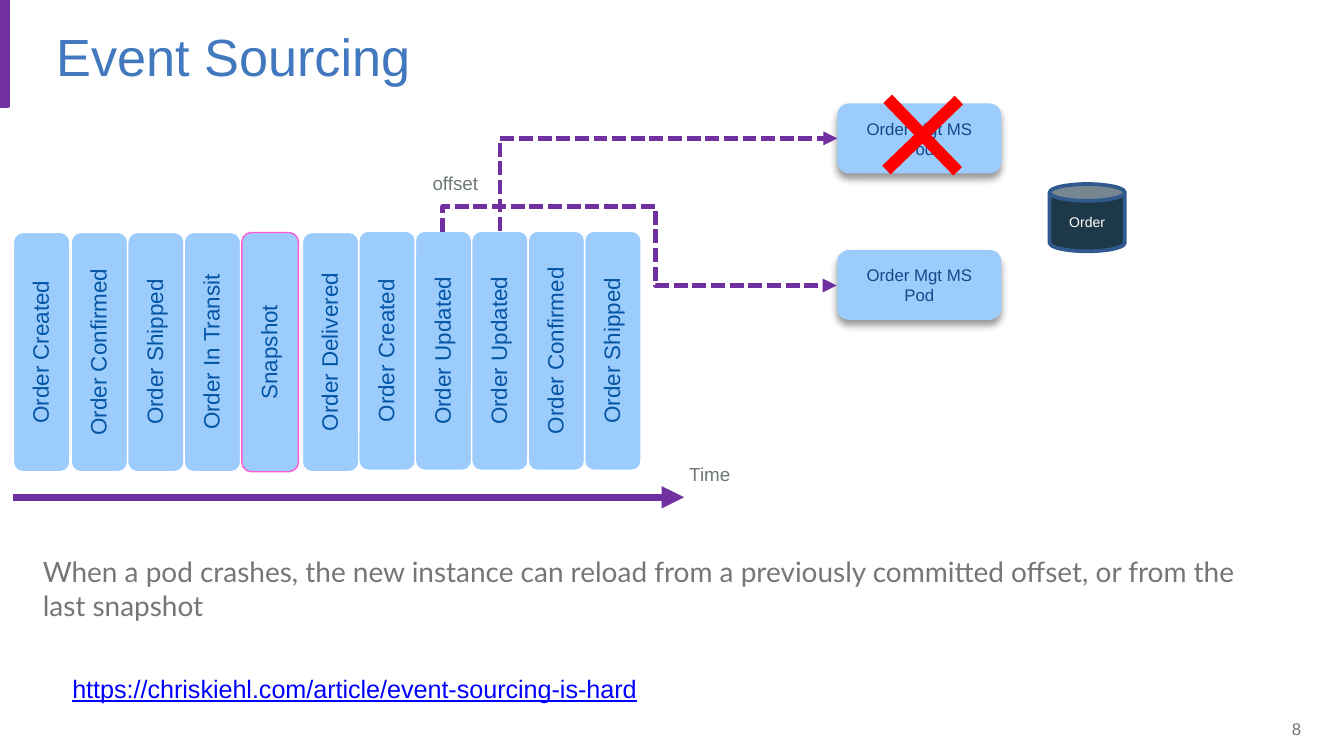
from dataclasses import dataclass
from pptx import Presentation
from pptx.dml.color import RGBColor as Rgb
from pptx.enum.dml import MSO_LINE as Dash
from pptx.enum.shapes import MSO_CONNECTOR as Link, MSO_SHAPE as Kind
from pptx.enum.text import MSO_ANCHOR as Anchor, MSO_AUTO_SIZE as Fit, PP_ALIGN as Align
from pptx.oxml import parse_xml
from pptx.oxml.ns import nsdecls, qn
from pptx.util import Inches, Pt


@dataclass(frozen=True)
class Theme:
    """Colours, fonts and type sizes of the slide."""
    purple: str = "7030A0"
    title: str = "4178BE"
    body: str = "777677"
    grey: str = "6D7777"
    sky: str = "9CCCFC"
    event: str = "0555A5"
    pod: str = "144989"
    navy: str = "1D3848"
    rim: str = "30598D"
    pink: str = "FF5BD0"
    red: str = "FF0000"
    white: str = "FFFFFF"
    link: str = "0000FF"
    sans: str = "Arial"
    lato: str = "Lato"
    title_size: float = 28
    body_size: float = 15
    link_size: float = 13.5
    event_size: float = 12
    label_size: float = 10.1
    pod_size: float = 9
    store_size: float = 7.5


T = Theme()
EVENTS = [
    (0.1, 1.73, ["Order Created"]),
    (0.53, 1.73, ["Order Confirmed", "Order Shipped", "Order In Transit"]),
    (1.8, 1.73, ["Snapshot"]),
    (2.25, 1.73, ["Order Delivered"]),
    (2.67, 1.72, ["Order Created", "Order Updated", "Order Updated",
                  "Order Confirmed", "Order Shipped"]),
]
STEP = 0.42


def style(frame, text, size, color, align=Align.LEFT, font=T.sans):
    """Fill a text frame and set the font of its paragraphs."""
    frame.text = text
    for para in frame.paragraphs:
        para.alignment = align
        para.font.size = Pt(size)
        para.font.name = font
        para.font.color.rgb = Rgb.from_string(color)


def add_text(slide, box, text, size, color, wrap=True, anchor=Anchor.TOP, **look):
    """Add a text box and return its frame."""
    frame = slide.shapes.add_textbox(*map(Inches, box)).text_frame
    frame.word_wrap = wrap
    frame.auto_size = Fit.NONE if wrap else Fit.SHAPE_TO_FIT_TEXT
    frame.vertical_anchor = anchor
    style(frame, text, size, color, **look)
    return frame


def add_block(slide, kind, box, fill, edge=None, width=0.75):
    """Add a filled shape with an optional outline."""
    shape = slide.shapes.add_shape(kind, *map(Inches, box))
    shape.shadow.inherit = False
    shape.fill.solid()
    shape.fill.fore_color.rgb = Rgb.from_string(fill)
    if edge:
        shape.line.color.rgb = Rgb.from_string(edge)
        shape.line.width = Pt(width)
    else:
        shape.line.fill.background()
    return shape


def add_event(slide, left, top, name):
    """Add one event card with upright text."""
    edge = T.pink if name == "Snapshot" else T.white
    card = add_block(slide, Kind.ROUNDED_RECTANGLE, (left, top, STEP, 1.78), T.sky, edge)
    frame = card.text_frame
    frame.margin_left = frame.margin_right = frame.margin_top = frame.margin_bottom = 0
    frame.vertical_anchor = Anchor.MIDDLE
    style(frame, name, T.event_size, T.event, Align.CENTER)
    frame.paragraphs[0].line_spacing = 0.9
    card.element.txBody.bodyPr.set("vert", "vert270")


def add_pod(slide, top, text):
    """Add a pod box with a soft shadow."""
    pod = add_block(slide, Kind.ROUNDED_RECTANGLE, (6.23, top, 1.22, 0.52), T.sky)
    pod.text_frame.vertical_anchor = Anchor.MIDDLE
    style(pod.text_frame, text, T.pod_size, T.pod, Align.CENTER)
    pod.element.spPr.find(qn("a:effectLst")).append(parse_xml(
        f'<a:outerShdw {nsdecls("a")} blurRad="{Pt(4)}" dist="{Pt(3)}" dir="5400000" '
        'algn="t" rotWithShape="0"><a:srgbClr val="000000"><a:alpha val="40000"/>'
        '</a:srgbClr></a:outerShdw>'))


def add_arrow(slide, kind, ends, width):
    """Add a purple connector with an arrowhead."""
    arrow = slide.shapes.add_connector(kind, *map(Inches, ends))
    arrow.line.color.rgb = Rgb.from_string(T.purple)
    arrow.line.width = Pt(width)
    props = arrow.element.spPr
    props.find(qn("a:ln")).append(parse_xml(f'<a:tailEnd {nsdecls("a")} type="triangle"/>'))
    props.append(parse_xml(f'<a:effectLst {nsdecls("a")}/>'))
    return arrow


def add_bend(slide, ends, turn, preset, adjust=()):
    """Add a dashed elbow arrow turned by whole degrees."""
    arrow = add_arrow(slide, Link.ELBOW, ends, 2.5)
    arrow.line.dash_style = Dash.SQUARE_DOT
    props = arrow.element.spPr
    props.find(qn("a:xfrm")).set("rot", str(turn * 60000))
    shape = props.find(qn("a:prstGeom"))
    shape.set("prst", preset)
    guides = shape.find(qn("a:avLst"))
    for num, part in enumerate(adjust, 1):
        guides.append(parse_xml(
            f'<a:gd {nsdecls("a")} name="adj{num}" fmla="val {round(part * 100000)}"/>'))


def add_store(slide):
    """Add the order data store."""
    store = add_block(slide, Kind.CAN, (7.81, 1.37, 0.56, 0.5), T.navy, T.rim, 2)
    store.text_frame.vertical_anchor = Anchor.MIDDLE
    style(store.text_frame, "Order", T.store_size, T.white, Align.CENTER)


def add_cross(slide):
    """Add the red cross over the crashed pod."""
    cross = add_block(slide, Kind.CROSS, (6.49, 0.63, 0.75, 0.75), T.red)
    cross.adjustments[0] = 0.44
    cross.rotation = 46


def main():
    """Build the slide and save it."""
    deck = Presentation()
    deck.slide_width, deck.slide_height = Inches(10), Inches(10) * 9 // 16
    slide = deck.slides.add_slide(deck.slide_layouts[6])
    add_block(slide, Kind.RECTANGLE, (0, 0, 0.06, 0.79), T.purple, T.purple, 2)
    add_text(slide, (0.32, 0.05, 9.18, 0.72), "Event Sourcing", T.title_size, T.title,
             anchor=Anchor.MIDDLE)
    add_text(slide, (0.22, 4.08, 9.18, 0.84),
             "When a pod crashes, the new instance can reload from a previously "
             "committed offset, or from the last snapshot",
             T.body_size, T.body, font=T.lato)
    add_text(slide, (9.34, 5.27, 0.44, 0.3), "8", T.pod_size, T.grey,
             anchor=Anchor.MIDDLE, align=Align.RIGHT)
    for left, top, names in EVENTS:
        for num, name in enumerate(names):
            add_event(slide, left + num * STEP, top, name)
    add_arrow(slide, Link.STRAIGHT, (0.1, 3.7, 5.09, 3.7), 4)
    add_pod(slide, 0.77, "Order Mgt MS Pod")
    add_store(slide)
    add_bend(slide, (5.32, 2.63, 4.63, 0.12), 90, "bentConnector2")
    add_text(slide, (5.03, 3.39, 0.52, 0.27), "Time", T.label_size, T.grey, wrap=False)
    add_text(slide, (3.12, 1.23, 0.55, 0.27), "offset", T.label_size, T.grey, wrap=False)
    add_cross(slide)
    add_pod(slide, 1.86, "Order Mgt MS\nPod")
    add_bend(slide, (4.96, 0.46, 4.56, 3.39), 270, "bentConnector4", (-0.47, 0.54))
    link = add_text(slide, (0.44, 4.96, 4.46, 0.33),
                    "https://chriskiehl.com/article/event-sourcing-is-hard",
                    T.link_size, T.link, wrap=False)
    link.paragraphs[0].font.underline = True
    deck.save("out.pptx")


if __name__ == "__main__":
    main()
